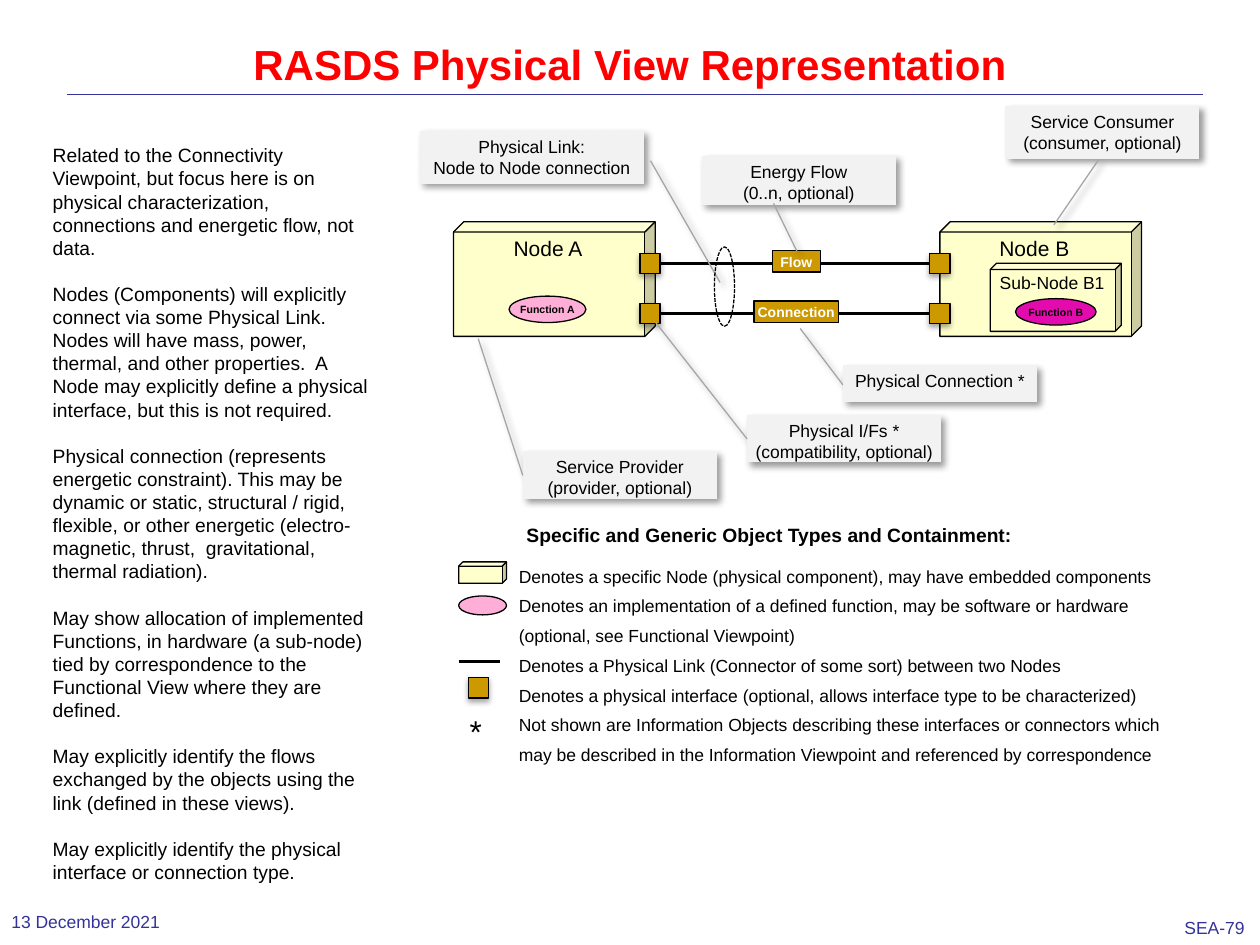
from lxml import etree
from pptx import Presentation
from pptx.dml.color import RGBColor
from pptx.enum.dml import MSO_LINE
from pptx.enum.shapes import MSO_CONNECTOR, MSO_SHAPE as SHAPE
from pptx.enum.text import MSO_ANCHOR as ANCHOR, PP_ALIGN as ALIGN
from pptx.oxml import parse_xml
from pptx.oxml.ns import nsdecls, qn
from pptx.util import Inches, Pt

CREAM, GOLD, PINK, MAGENTA = "FFFFCC", "CC9900", "FFAED7", "E30BAD"
BLACK, WHITE, NAVY, RED = "000000", "FFFFFF", "333399", "FF0000"
PALE, GREY = "F2F2F2", "A6A6A6"
PORT = 0.16
PORT_SHADOW = (35, 3.1, 1.8, 90)
CALLOUT_SHADOW = (40, 4, 3, 45)

NOTES = [
    "Related to the Connectivity Viewpoint, but focus here is on physical characterization, "
    "connections and energetic flow, not data.",
    "Nodes (Components) will explicitly connect via some Physical Link. Nodes will have mass, power, "
    "thermal, and other properties.  A Node may explicitly define a physical interface, "
    "but this is not required.",
    "Physical connection (represents energetic constraint). This may be dynamic or static, "
    "structural / rigid, flexible, or other energetic (electro-magnetic, thrust,  gravitational, "
    "thermal radiation).",
    "May show allocation of implemented Functions, in hardware (a sub-node) tied by correspondence "
    "to the Functional View where they are defined.",
    "May explicitly identify the flows exchanged by the objects using the link "
    "(defined in these views).",
    "May explicitly identify the physical interface or connection type.",
]
LEGEND = [
    "Denotes a specific Node (physical component), may have embedded components",
    "Denotes an implementation of a defined function, may be software or hardware "
    "(optional, see Functional Viewpoint)",
    "Denotes a Physical Link (Connector of some sort) between two Nodes",
    "Denotes a physical interface (optional, allows interface type to be characterized)",
    "Not shown are Information Objects describing these interfaces or connectors which "
    "may be described in the Information Viewpoint and referenced by correspondence",
]
CALLOUTS = [
    ("Physical Link:\vNode to Node connection", (3.33, 1.04, 1.78, 0.42), (0.56, -0.03, 2.86, -0.34)),
    ("Service Provider\n(provider, optional)", (4.15, 3.58, 1.54, 0.38), (0.51, 1, -2.35, 1.23)),
    ("Service Consumer\n(consumer, optional)", (7.98, 0.84, 1.54, 0.42), (1.02, 0.52, 2.25, 0.75)),
    ("Physical Connection *", (6.69, 2.9, 1.54, 0.29), (0.53, 1, -1.01, 1.22)),
    ("Energy Flow\n(0..n, optional)", (5.57, 1.24, 1.54, 0.39), (0.96, 0.63, 1.93, 0.51)),
    ("Physical I/Fs *\n(compatibility, optional)", (5.93, 3.29, 1.54, 0.38), (0.51, 1, -1.92, 1.47)),
]


def rgb(value):
    """Turn a hex string into a colour."""
    return RGBColor.from_string(value)


def write(s, text, size, color=BLACK, bold=False, align=ALIGN.LEFT, wrap=True,
          anchor=ANCHOR.TOP, inset=(0.1, 0.05)):
    """Fill a shape with uniformly styled paragraphs and return its text frame."""
    tf = s.text_frame
    tf.text = text
    tf.word_wrap = wrap
    tf.vertical_anchor = anchor
    tf.margin_left = tf.margin_right = Inches(inset[0])
    tf.margin_top = tf.margin_bottom = Inches(inset[1])
    for p in tf.paragraphs:
        p.alignment = align
        p.font.name, p.font.size, p.font.bold = "Arial", Pt(size), bold
        p.font.color.rgb = rgb(color)
    return tf


def add_text(sp, box, text, size, **style):
    """Add a text box and return its text frame."""
    return write(sp.add_textbox(*map(Inches, box)), text, size, **style)


def add_shape(sp, kind, box, fill=None, line=BLACK, shadow=None):
    """Add an outlined preset shape with an optional outer shadow."""
    s = sp.add_shape(kind, *map(Inches, box))
    s.shadow.inherit = False
    if fill:
        s.fill.solid()
        s.fill.fore_color.rgb = rgb(fill)
    else:
        s.fill.background()
    s.line.color.rgb = rgb(line)
    s.line.width = Pt(0.75)
    if shadow:
        alpha, blur, dist, angle = shadow
        s._element.spPr.find(qn("a:effectLst")).append(parse_xml(
            f'<a:outerShdw {nsdecls("a")} blurRad="{Pt(blur)}" dist="{Pt(dist)}" '
            f'dir="{angle * 60000}" algn="ctr" rotWithShape="0"><a:srgbClr val="{BLACK}">'
            f'<a:alpha val="{alpha * 1000}"/></a:srgbClr></a:outerShdw>'))
    return s


def add_line(sp, x1, y1, x2, y2, color=BLACK, width=1.5):
    """Add a straight connector without a shadow."""
    s = sp.add_connector(MSO_CONNECTOR.STRAIGHT, *map(Inches, (x1, y1, x2, y2)))
    s.line.color.rgb = rgb(color)
    s.line.width = Pt(width)
    etree.SubElement(s._element.spPr, qn("a:effectLst"))
    return s


def add_cube(sp, box, depth=0.09):
    """Add a cream node block."""
    add_shape(sp, SHAPE.CUBE, box, CREAM).adjustments[0] = depth


def add_port(sp, x, y):
    """Add a physical interface square."""
    return add_shape(sp, SHAPE.RECTANGLE, (x, y, PORT, PORT), GOLD, shadow=PORT_SHADOW)


def add_function(sp, box, text, fill):
    """Add a labelled function ellipse."""
    write(add_shape(sp, SHAPE.OVAL, box, fill), text, 6, bold=True, align=ALIGN.CENTER,
          wrap=False, anchor=ANCHOR.MIDDLE)


def add_node(sp, x, y, w, h, name):
    """Draw a node block with its name."""
    add_cube(sp, (x, y, w, h))
    add_text(sp, (x + 0.37, y + 0.06, 0.76, 0.3), name, 12, align=ALIGN.CENTER, wrap=False)


def add_subnode(sp, x, y, w, h):
    """Draw the sub-node with its function."""
    add_cube(sp, (x, y, w, h))
    add_function(sp, (x + 0.2, y + 0.28, 0.64, 0.21), "Function B", MAGENTA)
    add_text(sp, (x - 0.03, y + 0.02, w, 0.27), "Sub-Node B1", 10, align=ALIGN.CENTER, wrap=False)


def add_link(sp, x, y, w, label, label_w):
    """Draw two interfaces joined by a labelled link."""
    start, end = add_port(sp, x, y), add_port(sp, x + w - PORT, y)
    mid = y + PORT / 2
    link = add_line(sp, x + PORT, mid, x + w - PORT, mid)
    link.begin_connect(start, 3)
    link.end_connect(end, 1)
    tag = (x + w / 2 + 0.01 - label_w / 2, y - 0.02, label_w, 0.17)
    write(add_shape(sp, SHAPE.RECTANGLE, tag, GOLD), label, 8, color=WHITE, bold=True,
          align=ALIGN.CENTER, inset=(0.02, 0.02))


def add_callout(sp, text, box, leader):
    """Draw a mirrored line callout."""
    s = add_shape(sp, SHAPE.LINE_CALLOUT_1_NO_BORDER, box, PALE, GREY, CALLOUT_SHADOW)
    s._element.spPr.find(qn("a:xfrm")).set("flipH", "1")
    for i, value in enumerate(leader):
        s.adjustments[i] = value
    write(s, text, 10, align=ALIGN.CENTER, inset=(0.04, 0.04))


def add_diagram(sp, x, y):
    """Draw both nodes, their links and the callouts."""
    add_node(sp, x, y, 1.6, 0.91, "Node A")
    add_node(sp, x + 3.86, y, 1.6, 0.91, "Node B")
    add_function(sp, (x + 0.44, y + 0.59, 0.61, 0.21), "Function A", PINK)
    add_subnode(sp, x + 4.26, y + 0.33, 1.04, 0.54)
    for i, (label, width) in enumerate([("Flow", 0.38), ("Connection", 0.67)]):
        add_link(sp, x + 1.48, y + 0.25 + 0.4 * i, 2.46, label, width)
    for callout in CALLOUTS:
        add_callout(sp, *callout)
    bundle = add_shape(sp, SHAPE.OVAL, (x + 2.07, y + 0.2, 0.16, 0.63))
    bundle.line.dash_style = MSO_LINE.SQUARE_DOT


def add_legend(sp, x, y):
    """Draw the legend heading, symbols and descriptions."""
    add_text(sp, (x + 0.44, y, 4.09, 0.29), "Specific and Generic Object Types and Containment:",
             11, bold=True, wrap=False)
    tf = add_text(sp, (x + 0.38, y + 0.27, 5.56, 1.74), "\n".join(LEGEND), 10)
    for p in tf.paragraphs:
        p.line_spacing = Pt(17)
    add_cube(sp, (x, y + 0.36, 0.38, 0.17), 0.2)
    add_shape(sp, SHAPE.OVAL, (x, y + 0.63, 0.38, 0.15), PINK)
    add_line(sp, x, y + 1.15, x + 0.33, y + 1.15)
    add_port(sp, x + 0.08, y + 1.28)
    add_text(sp, (x - 0.01, y + 1.5, 0.3, 0.4), "*", 18, wrap=False)


def add_notes(sp, x, y, w, h):
    """Write the explanatory column."""
    tf = add_text(sp, (x, y, w, h), "\n".join(NOTES), 11)
    for p in tf.paragraphs[1:]:
        p.space_before = Pt(13.2)


def add_frame(sp, w, h):
    """Draw the title, rule, date and page number."""
    add_line(sp, 0.53, 0.75, w - 0.45, 0.75, NAVY, 0.13)
    tf = add_text(sp, (0.5, 0.3, w - 1, 1.25), "RASDS Physical View Representation", 24,
                  color=RED, bold=True, align=ALIGN.CENTER)
    tf.paragraphs[0].line_spacing = 0.9
    add_text(sp, (0, h - 0.33, 1.89, 0.29), "13 December 2021", 10, color=NAVY, wrap=False,
             anchor=ANCHOR.MIDDLE, inset=(0.09, 0.05))
    add_text(sp, (w - 0.69, h - 0.26, 0.68, 0.26), "SEA-79", 10, color=NAVY, wrap=False,
             inset=(0.09, 0.04))


def main():
    """Build and save the slide."""
    prs = Presentation()
    prs.slide_width, prs.slide_height = Inches(10), Inches(7.5)
    sp = prs.slides.add_slide(prs.slide_layouts[6]).shapes
    add_frame(sp, 10, 7.5)
    add_notes(sp, 0.32, 1.09, 2.77, 6.02)
    add_diagram(sp, 3.6, 1.76)
    add_legend(sp, 3.64, 4.1)
    prs.save("out.pptx")


if __name__ == "__main__":
    main()
